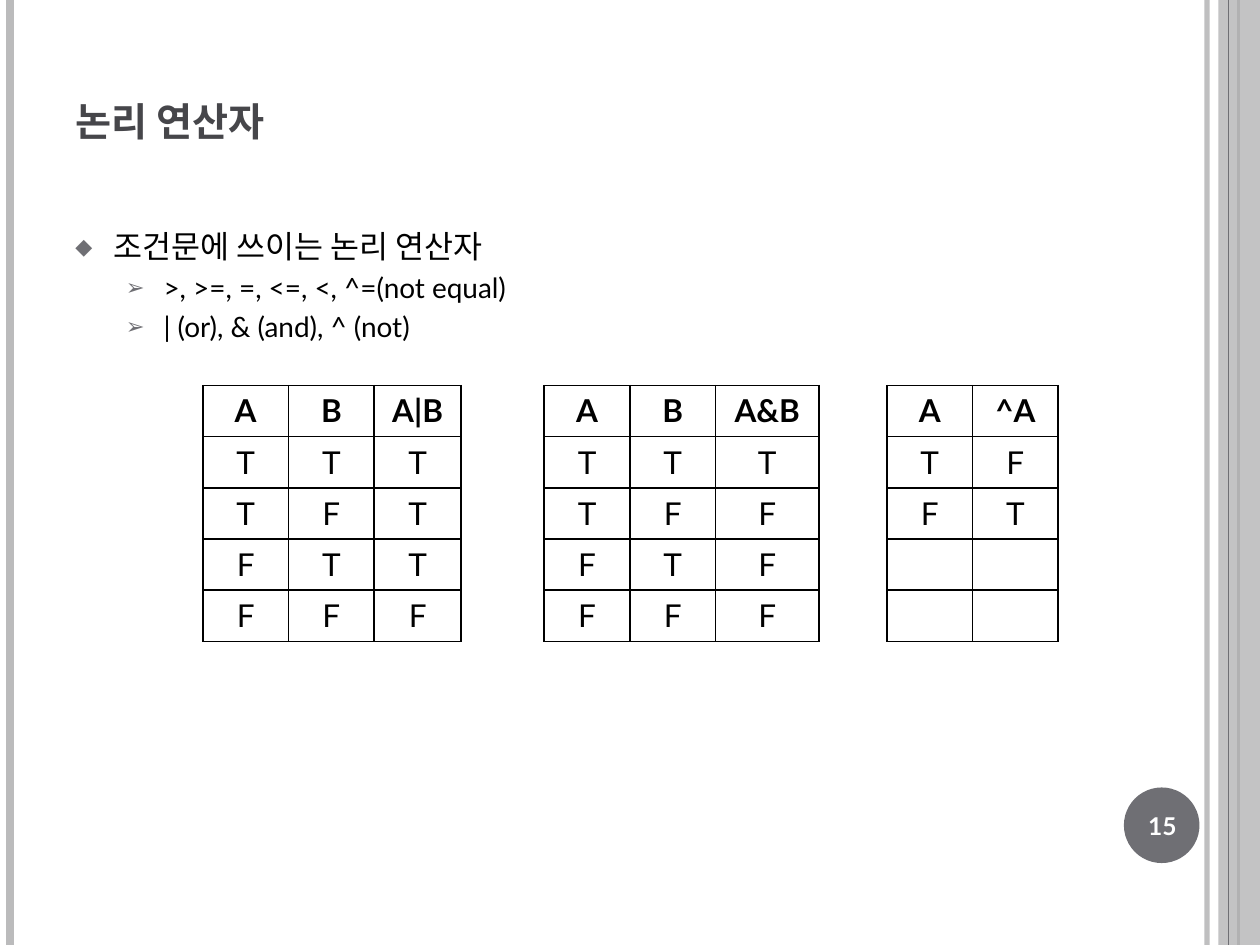
"""Build the slide on logical operators with its three truth tables."""
import pptx
import pptx.util
import pptx.dml.color
import pptx.enum.shapes
import pptx.enum.text
import pptx.oxml
import pptx.oxml.ns

Inches = pptx.util.Inches
Pt = pptx.util.Pt
qn = pptx.oxml.ns.qn
Anchor = pptx.enum.text.MSO_ANCHOR
Align = pptx.enum.text.PP_ALIGN
Shape = pptx.enum.shapes.MSO_SHAPE
NS = 'xmlns:a="http://schemas.openxmlformats.org/drawingml/2006/main"'
COLORS = {"pale": "BBBBBC", "gray": "6F6F74", "title": "46464A",
          "black": "000000", "white": "FFFFFF"}


def color(name):
    return pptx.dml.color.RGBColor.from_string(COLORS[name])


def node(xml):
    tag, rest = xml.split(" ", 1) if " " in xml.split(">")[0] else (xml[:-2], "/>")
    return pptx.oxml.parse_xml(f"{tag} {NS} {rest}")


class Deck:
    font = "Lato"

    def __init__(self, wide, high):
        self.show = pptx.Presentation()
        self.show.slide_width = Inches(wide)
        self.show.slide_height = Inches(high)
        self.slide = self.show.slides.add_slide(self.show.slide_layouts[6])
        self.items = self.slide.shapes

    def fade(self, fill, alpha):
        tone = fill.find(".//" + qn("a:srgbClr"))
        tone.append(node(f'<a:alpha val="{alpha * 1000}"/>'))

    def rule(self, x, width, tone, alpha=100):
        kind = pptx.enum.shapes.MSO_CONNECTOR.STRAIGHT
        line = self.items.add_connector(kind, Inches(x), 0, Inches(x), Inches(7.5))
        line.line.width = Pt(width)
        line.line.color.rgb = color(tone)
        if alpha < 100:
            self.fade(line.line._ln, alpha)
        line._element.spPr.append(node("<a:effectLst/>"))

    def shape(self, kind, box, tone, alpha=100):
        form = self.items.add_shape(kind, *map(Inches, box))
        form.shadow.inherit = False
        form.fill.solid()
        form.fill.fore_color.rgb = color(tone)
        form.line.fill.background()
        if alpha < 100:
            self.fade(form._element.spPr, alpha)

    def box(self, box, anchor=Anchor.TOP):
        frame = self.items.add_textbox(*map(Inches, box)).text_frame
        frame.word_wrap = True
        frame.vertical_anchor = anchor
        return frame

    def run(self, para, text, size, tone="black", bold=False):
        run = para.add_run()
        run.text = text
        run.font.size = Pt(size)
        run.font.name = self.font
        run.font.bold = bold
        run.font.color.rgb = color(tone)
        return run

    def bullet(self, para, mark, scale, left, before):
        para.space_before = Pt(before)
        props = para._p.get_or_add_pPr()
        props.set("marL", str(Inches(left)))
        props.set("indent", str(Inches(-0.3)))
        for xml in (f'<a:buClr><a:srgbClr val="{COLORS["gray"]}"/></a:buClr>',
                    f'<a:buSzPct val="{scale * 1000}"/>',
                    f'<a:buFont typeface="{self.font}"/>',
                    f'<a:buChar char="{mark}"/>'):
            if xml.startswith("<a:buClr>"):
                xml = xml.replace("<a:buClr>", "<a:buClr >", 1)
            props.append(node(xml))

    def edge(self, cell, sides):
        props = cell._tc.get_or_add_tcPr()
        for side in "LRTB":
            fill = "<a:noFill/>"
            if side in sides:
                fill = f'<a:solidFill><a:srgbClr val="{COLORS["black"]}"/></a:solidFill>'
            props.append(node(f'<a:ln{side} w="{Pt(1)}">{fill}</a:ln{side}>'))

    def table(self, box, widths, rows):
        grid = self.items.add_table(len(rows), len(widths), *map(Inches, box)).table
        grid.first_row = False
        grid.horz_banding = False
        for col, width in zip(grid.columns, widths):
            col.width = Inches(width)
        for r, row in enumerate(rows):
            for c, text in enumerate(row):
                cell = grid.cell(r, c)
                self.edge(cell, "LR" if not rows[0][c] else "LRTB")
                cell.fill.background()
                if text:
                    para = cell.text_frame.paragraphs[0]
                    para.alignment = Align.CENTER
                    self.run(para, text, 18, bold=r == 0)


deck = Deck(10, 7.5)
deck.rule(9.58, 3, "pale", 93)
deck.rule(0.08, 4.5, "pale")
deck.rule(9.83, 1.5, "gray")
deck.shape(Shape.RECTANGLE, (9.67, 0, 0.33, 7.5), "pale", 87)
deck.rule(9.75, 0.75, "gray")
deck.shape(Shape.OVAL, (8.92, 6.25, 0.6, 0.6), "gray")

title = deck.box((0.5, 0.3, 8.17, 1.25), Anchor.MIDDLE).paragraphs[0]
head = deck.run(title, "논리 연산자", 28, "title", True)
head.font._element.set("cap", "small")

body = deck.box((0.5, 1.75, 8.17, 5.33))
points = [(0, "조건문에 쓰이는 논리 연산자"),
          (1, ">, >=, =, <=, <, ^=(not equal)"),
          (1, "| (or), & (and), ^ (not)")]
looks = [("◆", 70, 0.3, 6, 18), ("➢", 80, 0.7, 3.2, 16)]
for i, (level, text) in enumerate(points):
    para = body.add_paragraph() if i else body.paragraphs[0]
    para.level = level
    *style, size = looks[level]
    deck.bullet(para, *style)
    deck.run(para, text, size)

rows = [line.split(",") for line in (
    "A,B,A|B,,A,B,A&B,,A,^A",
    "T,T,T,,T,T,T,,T,F",
    "T,F,T,,T,F,F,,F,T",
    "F,T,T,,F,T,F,,,",
    "F,F,F,,F,F,F,,,")]
widths = [0.68, 0.68, 0.69, 0.66, 0.68, 0.68, 0.82, 0.54, 0.68, 0.68]
deck.table((1.61, 3.06, 6.77, 2.03), widths, rows)

number = deck.box((8.89, 6.27, 0.67, 0.57), Anchor.MIDDLE).paragraphs[0]
number.alignment = Align.CENTER
deck.run(number, "15", 14, "white", True)

deck.show.save("out.pptx")
